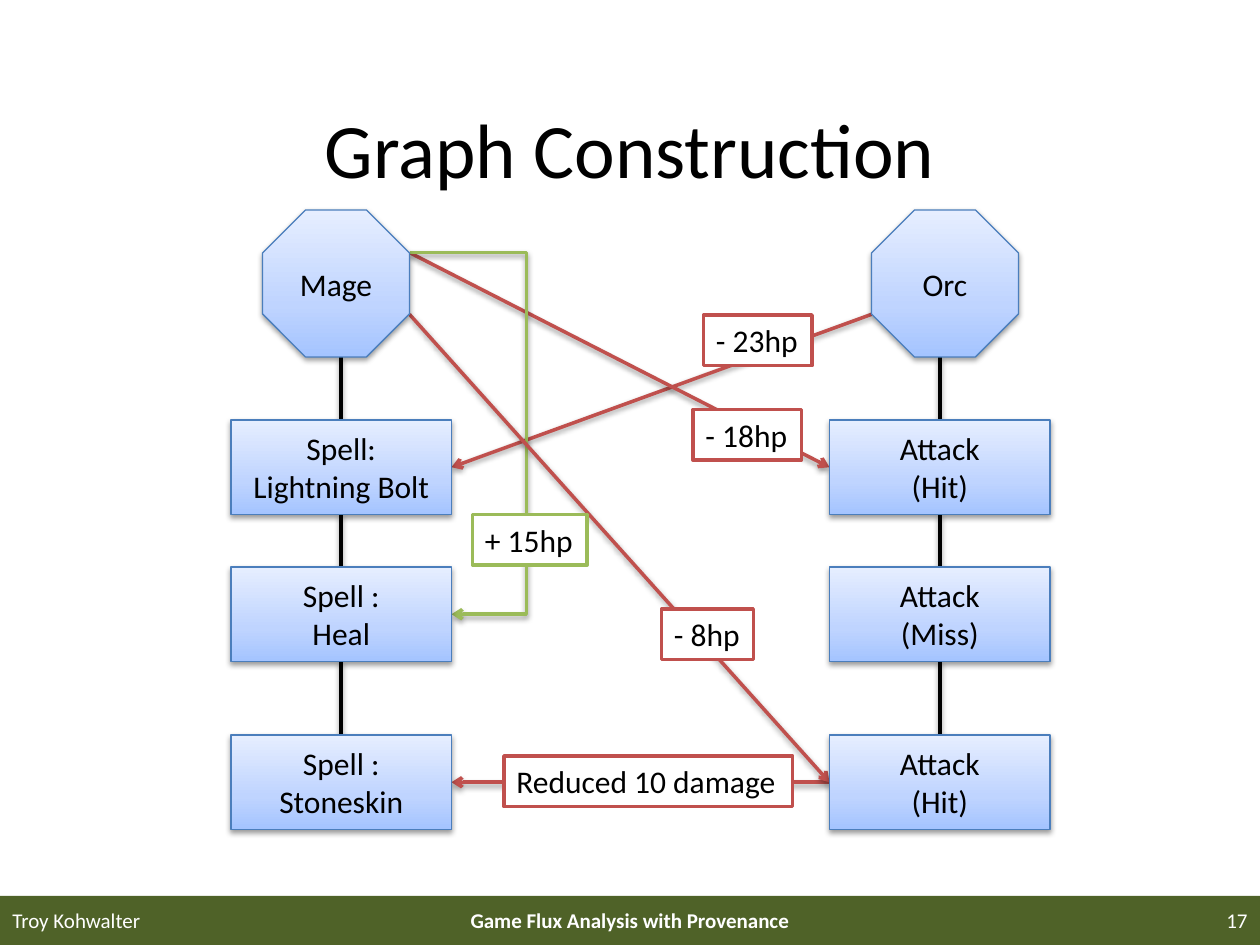
from copy import deepcopy
from pptx import Presentation
from pptx.dml.color import RGBColor
from pptx.enum.shapes import MSO_CONNECTOR, MSO_SHAPE
from pptx.enum.text import MSO_ANCHOR, MSO_AUTO_SIZE, PP_ALIGN
from pptx.oxml import parse_xml
from pptx.oxml.ns import nsdecls, qn
from pptx.util import Pt

HUES = {"black": "000000", "white": "FFFFFF", "red": "C0504D", "green": "9BBB59",
        "edge": "4B7EBC", "bar": "4F6228"}
STOPS = [(0, "A4C4FF"), (0.35, "BFD4FF"), (1, "E6EEFF")]
LEFT, MID, RIGHT = PP_ALIGN.LEFT, PP_ALIGN.CENTER, PP_ALIGN.RIGHT


def write(shape, lines, hue="black", align=MID, anchor=MSO_ANCHOR.MIDDLE, wrap=True, **font):
    frame = shape.text_frame
    frame.text = "\n".join(lines)
    frame.word_wrap = wrap
    frame.vertical_anchor = anchor
    for para in frame.paragraphs:
        para.alignment = align
        for key, val in ({"name": "Calibri", "size": Pt(18)} | font).items():
            setattr(para.font, key, val)
        para.font.color.rgb = RGBColor.from_string(HUES[hue])


def shade(shape):
    shape.element.spPr.append(parse_xml(
        f'<a:effectLst {nsdecls("a")}><a:outerShdw blurRad="40000" dist="20000" '
        'dir="5400000" rotWithShape="0"><a:srgbClr val="000000"><a:alpha val="38000"/>'
        '</a:srgbClr></a:outerShdw></a:effectLst>'))


deck = Presentation()
deck.slide_width, deck.slide_height = Pt(720), Pt(540)
slide = deck.slides.add_slide(deck.slide_layouts[5])
shapes = slide.shapes

# Title
title = shapes.title
place = {"left": 36, "top": 39.6, "width": 648, "height": 90}
for key, val in place.items():
    setattr(title, key, Pt(val))
write(title, ["Graph Construction"], size=Pt(44))

# Footer
bar = shapes.add_shape(MSO_SHAPE.RECTANGLE, 0, Pt(512), Pt(720), Pt(28))
bar.shadow.inherit = False
bar.fill.solid()
bar.fill.fore_color.rgb = RGBColor.from_string(HUES["bar"])
bar.line.fill.background()
for text, left, width, align, bold in [
        ("Troy Kohwalter", 0, 168, LEFT, False),
        ("Game Flux Analysis with Provenance", 246, 228, MID, True),
        ("17", 552, 168, RIGHT, False)]:
    foot = shapes.add_textbox(Pt(left), Pt(511), Pt(width), Pt(29))
    write(foot, [text], "white", align, size=Pt(12), bold=bold)

# Grid of nodes: two actors, each above three actions
COLS, ROWS = (132, 474), (240, 324, 420)
WIDE, HIGH = 126, 54
OCT, PEAK = 84, 120
HEADS = (150, 498)
CUT = OCT * 0.29
HALF = HIGH / 2
mage, orc = HEADS[0] + OCT, HEADS[1]
spell, hit = COLS[0] + WIDE, COLS[1]
high, low = PEAK + CUT, PEAK + OCT - CUT
bolt, heal, last = [row + HALF for row in ROWS]

# Links: start, end, hue, arrow, bend
links = []
for col in COLS:
    mid = col + WIDE / 2
    ends = [PEAK + OCT] + [row + HIGH for row in ROWS]
    links += [(mid, end, mid, row, "black", False, None) for end, row in zip(ends, ROWS)]
links += [(orc, low, spell, bolt, "red", True, None),
          (mage, high, hit, bolt, "red", True, None),
          (hit, last, spell, last, "red", True, None),
          (mage, high, spell, heal, "green", True, 2.78),
          (mage, low, hit, last, "red", True, None)]
for x1, y1, x2, y2, hue, arrow, bend in links:
    kind = MSO_CONNECTOR.ELBOW if bend else MSO_CONNECTOR.STRAIGHT
    link = shapes.add_connector(kind, Pt(x1), Pt(y1), Pt(x2), Pt(y2))
    link.line.width = Pt(2)
    link.line.color.rgb = RGBColor.from_string(HUES[hue])
    prop = link.element.spPr
    if arrow:
        prop.find(qn("a:ln")).append(parse_xml(f'<a:tailEnd {nsdecls("a")} type="arrow"/>'))
    if bend:
        prop.find(".//" + qn("a:avLst")).append(parse_xml(
            f'<a:gd {nsdecls("a")} name="adj1" fmla="val {round(bend * 100000)}"/>'))
    shade(link)

# Nodes
nodes = [(MSO_SHAPE.OCTAGON, left, PEAK, OCT, OCT, [name])
         for left, name in zip(HEADS, ("Mage", "Orc"))]
acts = [[("Spell:", "Lightning Bolt"), ("Spell :", "Heal"), ("Spell :", "Stoneskin")],
        [("Attack", "(Hit)"), ("Attack", "(Miss)"), ("Attack", "(Hit)")]]
for col, names in zip(COLS, acts):
    nodes += [(MSO_SHAPE.RECTANGLE, col, row, WIDE, HIGH, lines)
              for row, lines in zip(ROWS, names)]
for kind, left, top, width, height, lines in nodes:
    node = shapes.add_shape(kind, Pt(left), Pt(top), Pt(width), Pt(height))
    node.fill.gradient()
    node.fill.gradient_angle = 90
    ramp = node.element.spPr.find(".//" + qn("a:gsLst"))
    ramp.append(deepcopy(ramp[0]))
    for stop, (pos, tint) in zip(node.fill.gradient_stops, STOPS):
        stop.position = pos
        stop.color.rgb = RGBColor.from_string(tint)
    node.line.width = Pt(0.75)
    node.line.color.rgb = RGBColor.from_string(HUES["edge"])
    shade(node)
    write(node, lines)

# Labels on the links
for text, left, top, width, hue in [
        ("- 23hp", 402, 180, 62, "red"), ("- 18hp", 396, 234, 62, "red"),
        ("Reduced 10 damage", 288, 432, 165, "red"),
        ("+ 15hp", 270, 294, 65.5, "green"), ("- 8hp", 378, 348, 52.5, "red")]:
    label = shapes.add_shape(MSO_SHAPE.RECTANGLE, Pt(left), Pt(top), Pt(width), Pt(29))
    label.shadow.inherit = False
    label.fill.solid()
    label.fill.fore_color.rgb = RGBColor.from_string(HUES["white"])
    label.line.width = Pt(2)
    label.line.color.rgb = RGBColor.from_string(HUES[hue])
    write(label, [text], align=LEFT, anchor=MSO_ANCHOR.TOP, wrap=False)
    label.text_frame.auto_size = MSO_AUTO_SIZE.SHAPE_TO_FIT_TEXT

deck.save("out.pptx")
